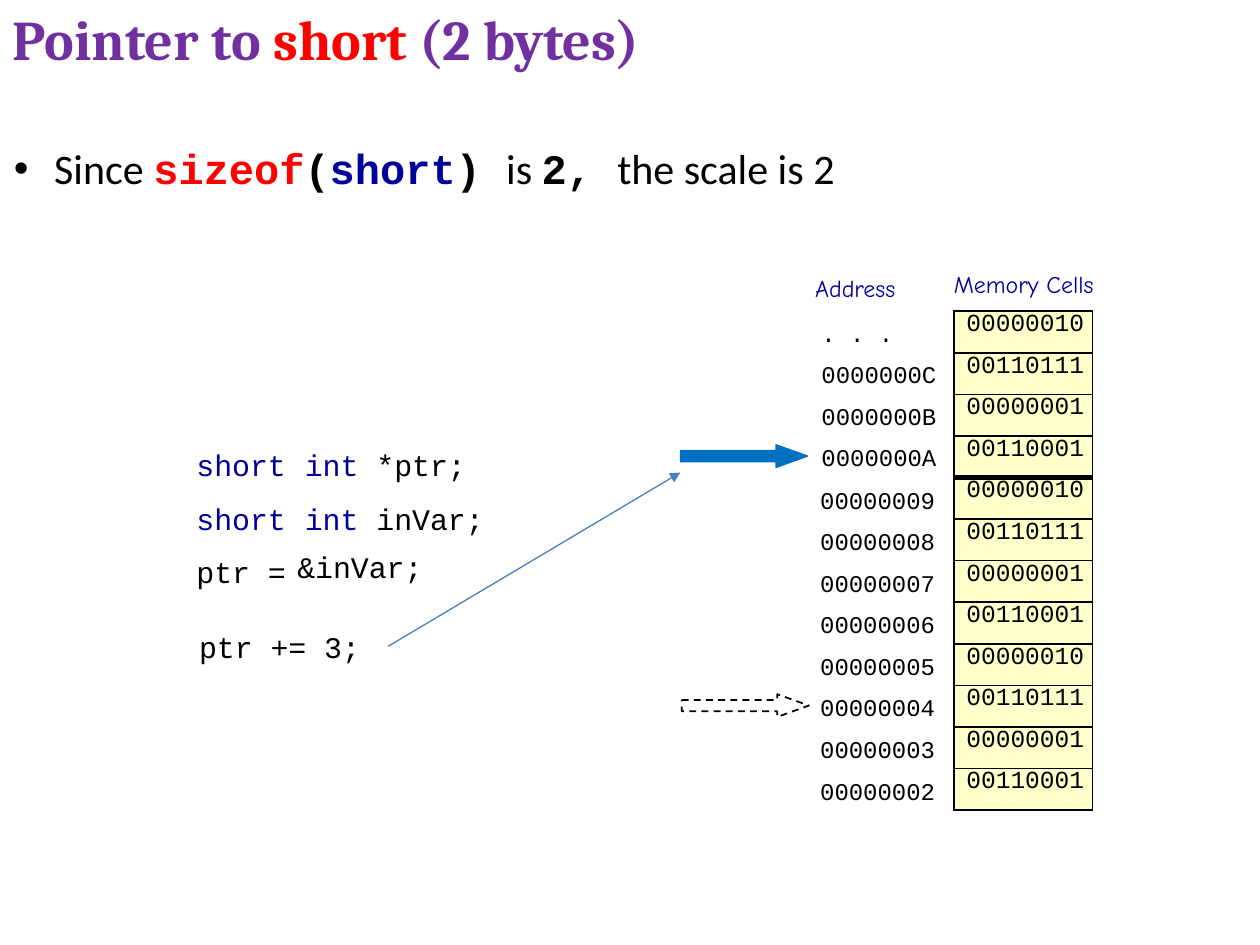
import pptx
import pptx.util
import pptx.dml.color
import pptx.enum.dml
import pptx.enum.shapes
import pptx.enum.text
import pptx.oxml

W, H = 10, 7.5
ROW = 0.33
COLORS = {
    "purple": "7030A0", "red": "FF0000", "navy": "00009A", "black": "000000",
    "blue": "0070C0", "white": "FFFFFF", "cell": "FFFFCC", "link": "4B7EBC",
}
SANS, MONO, SERIF, COMIC = "Calibri", "Courier New", "Cambria", "Comic Neue"
NS = 'xmlns:a="http://schemas.openxmlformats.org/drawingml/2006/main"'


def inches(*values):
    return [pptx.util.Inches(v) for v in values]


def rgb(name):
    return pptx.dml.color.RGBColor.from_string(COLORS[name])


def xml(text):
    return pptx.oxml.parse_xml(text.replace(">", f" {NS}>", 1) if "/>" not in text[:text.find(">") + 1]
                               else text.replace("/>", f" {NS}/>", 1))


def place(sp, *box):
    sp.left, sp.top, sp.width, sp.height = inches(*box)


def add_run(p, text, font, size, color, bold=False):
    r = p.add_run()
    r.text = text
    r.font.name = font
    r.font.size = pptx.util.Pt(size)
    r.font.bold = bold
    r.font.color.rgb = rgb(color)


def add_lines(s, box, lines):
    tf = s.shapes.add_textbox(*inches(*box)).text_frame
    tf.word_wrap = True
    tf.margin_left = pptx.util.Inches(0.01)
    tf.margin_top = tf.margin_right = tf.margin_bottom = 0
    for i, (runs, before, spacing, indent) in enumerate(lines):
        p = tf.paragraphs[0] if i == 0 else tf.add_paragraph()
        p.space_before = pptx.util.Pt(before)
        p.line_spacing = spacing
        if indent:
            p._p.get_or_add_pPr().set("marL", str(pptx.util.Inches(indent)))
        for run in runs:
            add_run(p, *run)


def add_title(s):
    sp = s.shapes.title
    place(sp, 0, 0, 0.9 * W, 0.08 * H)
    tf = sp.text_frame
    tf.vertical_anchor = pptx.enum.text.MSO_ANCHOR.MIDDLE
    p = tf.paragraphs[0]
    p.alignment = pptx.enum.text.PP_ALIGN.LEFT
    for text, color in (("Pointer to ", "purple"), ("short ", "red"), ("(2 bytes)", "purple")):
        add_run(p, text, SERIF, 32, color, True)


def add_bullet(s):
    sp = s.placeholders[1]
    place(sp, 0, 0.15 * H, 0.9 * W, 0.48)
    p = sp.text_frame.paragraphs[0]
    p.space_before = pptx.util.Pt(0)
    p.line_spacing = pptx.util.Pt(25.8)
    pPr = p._p.get_or_add_pPr()
    pPr.set("marL", str(pptx.util.Inches(0.33)))
    pPr.set("indent", str(pptx.util.Inches(-0.32)))
    pPr.append(xml('<a:buChar char="•"/>'))
    for text, font, color, bold in (
        ("Since ", SANS, "black", False), ("sizeof", MONO, "red", True),
        ("(", MONO, "black", True), ("short", MONO, "navy", True),
        (") ", MONO, "black", True), ("is ", SANS, "black", False),
        ("2, ", MONO, "black", True), ("the scale is 2", SANS, "black", False),
    ):
        add_run(p, text, font, 24, color, bold)


def add_code(s):
    def line(*parts):
        return [(text, MONO, 17.1, color) for text, color in parts], 0, 1.5, 0

    add_lines(s, (1.55, 3.4, 0.74, 1.3), [
        line(("short", "navy")), line(("short", "navy")), line(("ptr =", "black"))])
    add_lines(s, (2.41, 3.4, 1.45, 0.86), [
        line(("int ", "navy"), ("*ptr;", "black")),
        line(("int ", "navy"), ("inVar;", "black"))])
    for text, left, top, width in (("&inVar;", 2.35, 4.35, 1.02), ("ptr += 3;", 1.57, 4.99, 1.31)):
        add_lines(s, (left, top, width, 0.29), [([(text, MONO, 17.1, "black")], 0, 1, 0)])


def add_addresses(s):
    def line(text, before=7.3, spacing=1, indent=0):
        return [(text, MONO, 13.7, "black")], before, spacing, indent

    heading = [("Address", COMIC, 13.7, "navy")], 0, 1, 0
    add_lines(s, (6.46, 2.17, 0.98, 1.59), [
        heading, line(". . .", 2.4, 1.43, 0.05), line("0000000C", 0, 1.43, 0.05),
        line("0000000B", indent=0.05), line("0000000A", indent=0.05)])
    add_lines(s, (6.5, 3.85, 0.94, 2.56), [
        line(f"{n:08X}", 0 if n == 9 else 7.3) for n in range(9, 1, -1)])
    add_lines(s, (7.56, 2.14, 1.21, 0.23), [
        ([("Memory Cells", COMIC, 13.7, "navy")], 0, 1, 0)])


def set_borders(cell, **widths):
    tcPr = cell._tc.get_or_add_tcPr()
    for i, side in enumerate("LRTB"):
        width = pptx.util.Pt(widths.get(side, 1))
        tcPr.insert(i, xml(f'<a:ln{side} w="{width}"><a:solidFill><a:srgbClr val="{COLORS["black"]}"/>'
                           f'</a:solidFill></a:ln{side}>'))


def add_memory(s):
    values = ["00000010", "00110111", "00000001", "00110001"] * 3
    frame = s.shapes.add_table(len(values), 1, *inches(7.57, 2.47, 1.1, ROW * len(values)))
    table = frame.table
    table.first_row = table.horz_banding = False
    for i, value in enumerate(values):
        table.rows[i].height = pptx.util.Inches(ROW)
        cell = table.cell(i, 0)
        cell.margin_left = pptx.util.Inches(0.1)
        cell.margin_top = cell.margin_right = cell.margin_bottom = 0
        cell.fill.solid()
        cell.fill.fore_color.rgb = rgb("cell")
        add_run(cell.text_frame.paragraphs[0], value, MONO, 14, "black")
        set_borders(cell, **{3: {"B": 2.75}, 4: {"T": 2.75}}.get(i, {}))


def add_block_arrow(s, left, top, fill, line, width, dash=None):
    sp = s.shapes.add_shape(pptx.enum.shapes.MSO_SHAPE.RIGHT_ARROW, *inches(left, top, 1.01, 0.18))
    sp.shadow.inherit = False
    sp.adjustments[0] = 0.5
    sp.adjustments[1] = 1.39
    sp.fill.solid()
    sp.fill.fore_color.rgb = rgb(fill)
    sp.line.color.rgb = rgb(line)
    sp.line.width = pptx.util.Pt(width)
    if dash:
        sp.line.dash_style = dash


def add_link(s, *ends):
    sp = s.shapes.add_connector(pptx.enum.shapes.MSO_CONNECTOR.STRAIGHT, *inches(*ends))
    sp.line.color.rgb = rgb("link")
    sp.line.width = pptx.util.Pt(0.75)
    sp.line._get_or_add_ln().append(xml('<a:tailEnd type="triangle"/>'))
    sp._element.spPr.append(xml("<a:effectLst/>"))


def main():
    prs = pptx.Presentation()
    prs.slide_width, prs.slide_height = inches(W, H)
    s = prs.slides.add_slide(prs.slide_layouts[1])
    add_title(s)
    add_bullet(s)
    add_addresses(s)
    add_code(s)
    add_block_arrow(s, 5.4, 3.53, "blue", "blue", 0.75)
    add_block_arrow(s, 5.41, 5.51, "white", "black", 1, pptx.enum.dml.MSO_LINE.DASH)
    add_memory(s)
    add_link(s, 3.08, 5.13, 5.4, 3.75)
    prs.save("out.pptx")


if __name__ == "__main__":
    main()
